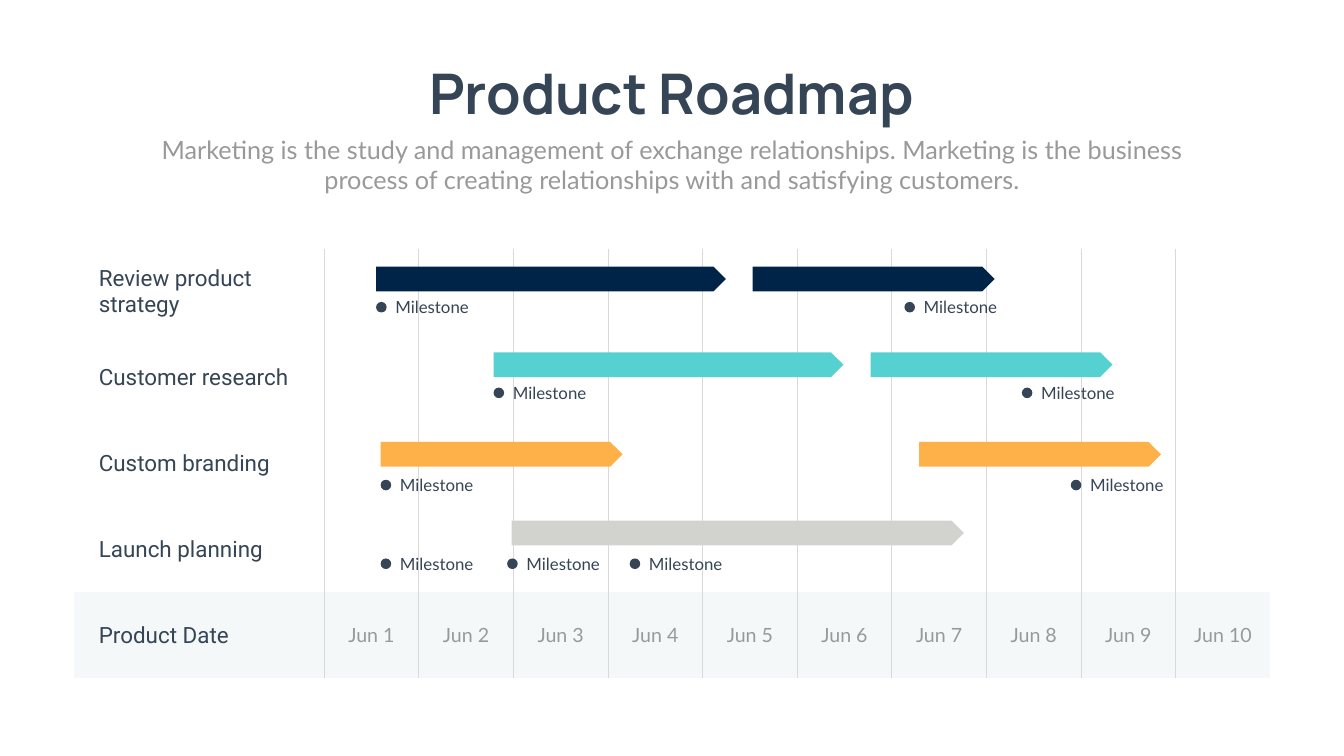
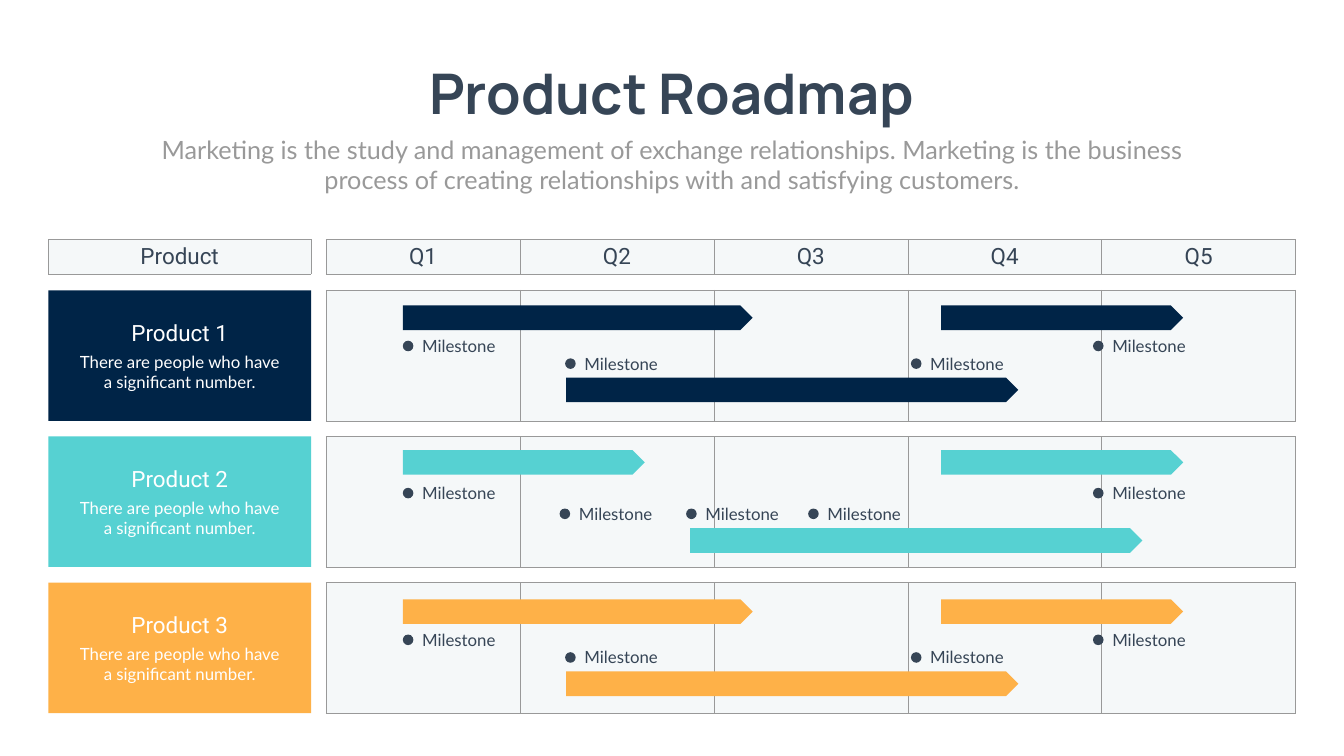
"""Build two product roadmap slides."""
from lxml import etree
from pptx import Presentation
from pptx.dml.color import RGBColor
from pptx.enum.shapes import MSO_SHAPE
from pptx.enum.text import MSO_ANCHOR, MSO_AUTO_SIZE, PP_ALIGN
from pptx.oxml.ns import qn
from pptx.util import Pt

RECT, ARROW, DOT = MSO_SHAPE.RECTANGLE, MSO_SHAPE.PENTAGON, MSO_SHAPE.OVAL
LEFT, MID = PP_ALIGN.LEFT, PP_ALIGN.CENTER
CENTER, FIT = MSO_ANCHOR.MIDDLE, MSO_AUTO_SIZE.SHAPE_TO_FIT_TEXT

HEX = {"ink": "364556", "gray": "999999", "rule": "D9D9D9", "pale": "F5F8F9",
       "white": "FFFFFF", "navy": "002447", "teal": "56D1D2",
       "gold": "FEB148", "stone": "D2D3CF"}

STYLES = {"title": ("Manrope", 80, "ink", True), "lead": ("Lato", 36, "gray", False),
          "head": ("Roboto", 32, "ink", False), "date": ("Lato", 28, "gray", False),
          "mark": ("Lato", 24, "ink", False), "name": ("Roboto", 32, "white", False),
          "note": ("Lato", 24, "white", False)}

TITLE = "Product Roadmap"
LEAD = ("Marketing is the study and management of exchange relationships. "
        "Marketing is the business process of creating relationships with "
        "and satisfying customers.")
NOTE = "There are people who have a significant number."

SHORT, MEDIUM, LONG = 345.6, 499.7, 645.8
BAR_H, DOT_D = 35.3, 15.1

TASKS = ["Review product strategy", "Customer research", "Custom branding",
         "Launch planning", "Product Date"]
DATES = [f"Jun {day}" for day in range(1, 11)]
QUARTERS = [f"Q{num}" for num in range(1, 6)]

LANES = [
    {"color": "navy", "bars": [(537.1, 380.9, MEDIUM), (1075, 380.9, SHORT)],
     "dots": [(537.1, 431.3), (1291.7, 431.3)]},
    {"color": "teal", "bars": [(704.9, 503.3, MEDIUM), (1243.4, 503.3, SHORT)],
     "dots": [(704.9, 553.7), (1459.4, 553.7)]},
    {"color": "gold", "bars": [(543.6, 631.4, SHORT), (1312.6, 631.4, SHORT)],
     "dots": [(543.6, 685.4), (1529.3, 685.4)]},
    {"color": "stone", "bars": [(730.8, 743.8, LONG)],
     "dots": [(543.6, 797.8), (724.3, 797.8), (899.3, 797.8)]},
]

OUTER = {"bars": [(575.3, 21.6, MEDIUM), (1344.2, 21.6, SHORT), (808.6, 124.6, LONG)],
         "dots": [(575.3, 72), (1561, 72), (807.1, 97.2), (1301, 97.2)]}
INNER = {"bars": [(575.3, 19.4, SHORT), (1344.2, 19.4, SHORT), (985.7, 131, LONG)],
         "dots": [(575.3, 73.4), (1561, 73.4),
                  (799.2, 103), (979.9, 103), (1154.2, 103)]}
PRODUCTS = [("Product 1", "navy", OUTER, 0), ("Product 2", "teal", INNER, 0),
            ("Product 3", "gold", OUTER, 2.2)]


def rgb(color):
    return RGBColor.from_string(HEX[color])


def write(frame, text, style, align):
    para = frame.paragraphs[0]
    para.text, para.alignment = text, align
    font = para.font
    font.name, size, color, font.bold = STYLES[style]
    font.size, font.color.rgb = Pt(size), rgb(color)


def label(shapes, box, text, style, align=MID, wrap=True):
    frame = shapes.add_textbox(*map(Pt, box)).text_frame
    frame.word_wrap, frame.auto_size = wrap, FIT
    write(frame, text, style, align)


def block(shapes, kind, box, color):
    shape = shapes.add_shape(kind, *map(Pt, box))
    shape.shadow.inherit = False
    shape.fill.solid()
    shape.fill.fore_color.rgb = rgb(color)
    shape.line.fill.background()


def edge(cell, sides, color):
    props = cell._tc.get_or_add_tcPr()
    for spot, side in enumerate("LRTB"):
        line = etree.Element(qn(f"a:ln{side}"), w=str(Pt(1)))
        if side in sides:
            fill = etree.SubElement(line, qn("a:solidFill"))
            etree.SubElement(fill, qn("a:srgbClr"), val=HEX[color])
        else:
            etree.SubElement(line, qn("a:noFill"))
        props.insert(spot, line)


def grid(slide, x, y, widths, heights):
    size = (x, y, sum(widths), sum(heights))
    table = slide.shapes.add_table(len(heights), len(widths), *map(Pt, size)).table
    table.first_row = table.horz_banding = False
    for col, width in zip(table.columns, widths):
        col.width = Pt(width)
    for row, height in zip(table.rows, heights):
        row.height = Pt(height)
    return table


def paint(cell, color, sides, line, text="", style="head", align=MID):
    cell.fill.solid()
    cell.fill.fore_color.rgb = rgb(color)
    cell.vertical_anchor = CENTER
    edge(cell, sides, line)
    if text:
        write(cell.text_frame, text, style, align)


def strip(slide, x, y, width, height, texts):
    count = len(texts)
    table = grid(slide, x, y, [width / count] * count, [height])
    for cell, text in zip(table.iter_cells(), texts):
        paint(cell, "pale", "LRTB", "gray", text)


def track(slide, color, bars, dots, top=0):
    for x, y, width in bars:
        block(slide.shapes, ARROW, (x, top + y, width, BAR_H), color)
    for x, y in dots:
        group = slide.shapes.add_group_shape().shapes
        label(group, (x + 20.5, top + y - 10.8, 120.2, 36),
              "Milestone", "mark", LEFT, False)
        block(group, DOT, (x, top + y, DOT_D, DOT_D), "ink")


def start(deck):
    slide = deck.slides.add_slide(deck.slide_layouts[6])
    group = slide.shapes.add_group_shape().shapes
    label(group, (575.3, 80.6, 768.2, 104.4), TITLE, "title", wrap=False)
    label(group, (210.2, 187.9, 1499, 94.3), LEAD, "lead")
    return slide


def daily(deck):
    slide = start(deck)
    last = len(DATES)
    table = grid(slide, 105.1, 355.7, [357.8] + [135.15] * last, [122.7] * len(TASKS))
    for row, task in enumerate(TASKS):
        foot = row == len(TASKS) - 1
        color = "pale" if foot else "white"
        name = table.cell(row, 0)
        name.margin_left = Pt(36)
        paint(name, color, "R", "rule", task, align=LEFT)
        for col, date in enumerate(DATES, 1):
            paint(table.cell(row, col), color, "L" if col == last else "LR",
                  "rule", date if foot else "", "date")
    for lane in LANES:
        track(slide, **lane)


def quarterly(deck):
    slide = start(deck)
    left, wide, x, width = 69.1, 375.1, 465.8, 1384.6
    strip(slide, left, 342, wide, 49.7, ["Product"])
    strip(slide, x, 342, width, 49.7, QUARTERS)
    for num, (name, color, plan, shift) in enumerate(PRODUCTS):
        top = 414.7 + 208.8 * num
        strip(slide, x, top, width, 186.5, [""] * len(QUARTERS))
        card = slide.shapes.add_group_shape().shapes
        block(card, RECT, (left, top, wide, 186.5), color)
        label(card, (left + 34.6, top + 83.5, 306, 65.5), NOTE, "note")
        label(card, (left, top + 37.4, wide, 46.1), name, "name")
        track(slide, color, **plan, top=top + shift)


def main():
    deck = Presentation()
    deck.slide_width, deck.slide_height = Pt(1919.52), Pt(1080)
    daily(deck)
    quarterly(deck)
    deck.save("out.pptx")


if __name__ == "__main__":
    main()
